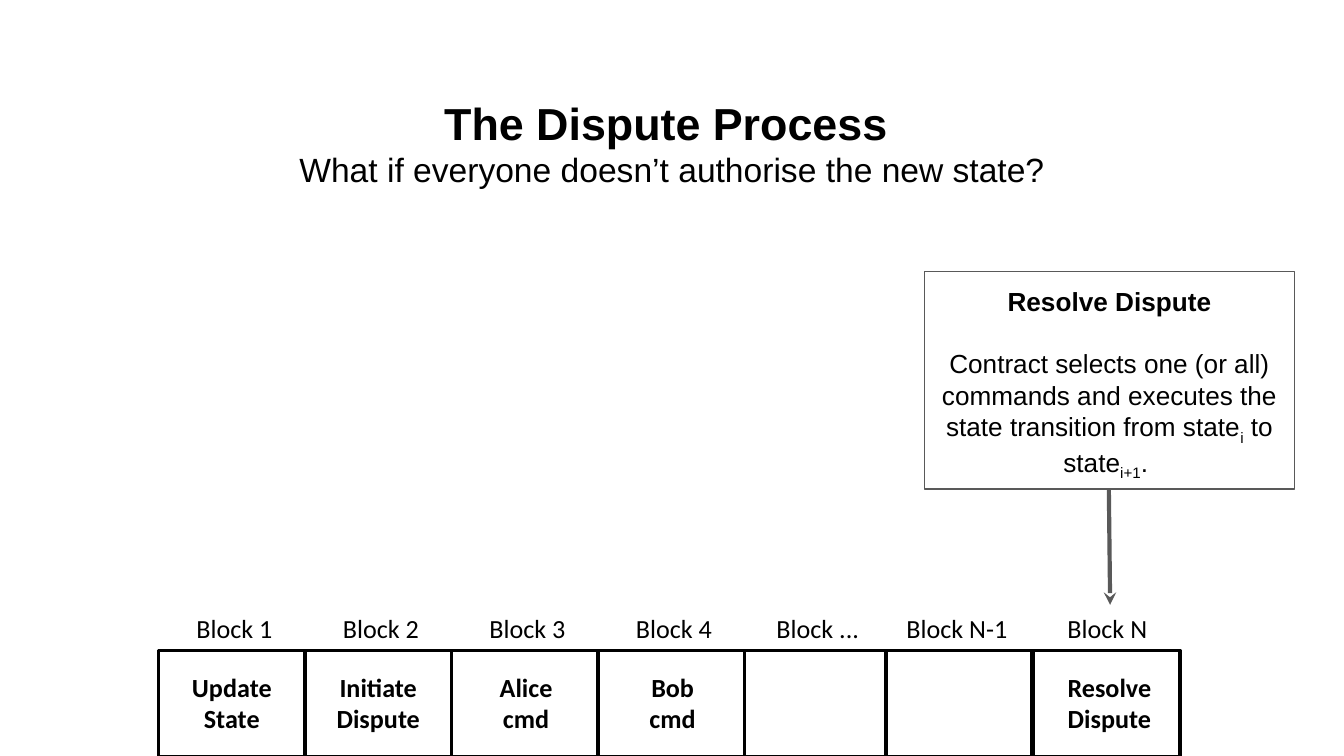
from dataclasses import dataclass
from typing import NamedTuple, Optional

from lxml.etree import SubElement
from pptx import Presentation
from pptx.dml.color import RGBColor
from pptx.enum.shapes import MSO_CONNECTOR, MSO_SHAPE
from pptx.enum.text import MSO_ANCHOR, MSO_AUTO_SIZE, PP_ALIGN
from pptx.oxml.ns import qn
from pptx.shapes.autoshape import Shape
from pptx.slide import Slide
from pptx.text.text import TextFrame
from pptx.util import Inches, Pt


@dataclass(frozen=True)
class Theme:
    ink: RGBColor = RGBColor(0x00, 0x00, 0x00)
    paper: RGBColor = RGBColor(0xFF, 0xFF, 0xFF)
    accent: RGBColor = RGBColor(0x59, 0x59, 0x59)
    heading_font: str = "Arial"
    block_font: str = "Calibri"
    title_size: float = 24
    subtitle_size: float = 18
    text_size: float = 14


class Block(NamedTuple):
    left: float
    label: str
    action: str = ""
    action_offset: float = 0.12
    label_offset: float = 0.13
    label_width: float = 0.87


class Span(NamedTuple):
    text: str
    subscript: bool = False


THEME = Theme()
BLOCK_TOP, BLOCK_WIDTH, BLOCK_HEIGHT = 4.84, 1.09, 0.79
BLOCKS = [
    Block(1.18, "Block 1", "Update State", 0.11),
    Block(2.27, "Block 2", "Initiate Dispute", 0.11),
    Block(3.36, "Block 3", "Alice cmd"),
    Block(5.52, "Block ..."),
    Block(6.59, "Block N-1", label_offset=0.05, label_width=0.96),
    Block(7.69, "Block N", "Resolve Dispute", 0.13, 0.07, 0.96),
    Block(4.45, "Block 4", "Bob cmd"),
]
RESOLUTION = [
    Span("Contract selects one (or all) commands and executes the state transition from state"),
    Span("i", subscript=True),
    Span(" to state"),
    Span("i+1", subscript=True),
    Span(". "),
]


def prepare_frame(frame: TextFrame, anchor: MSO_ANCHOR = MSO_ANCHOR.TOP, pad: float = 0.1) -> None:
    frame.word_wrap = True
    frame.auto_size = MSO_AUTO_SIZE.NONE
    frame.vertical_anchor = anchor
    frame.margin_left = frame.margin_right = Inches(0.1)
    frame.margin_top = frame.margin_bottom = Inches(pad)


def write(frame: TextFrame, text: str | list[Span], *, size: float = THEME.text_size,
          font: str = THEME.heading_font, bold: bool = False,
          new_paragraph: bool = False, space_before: Optional[float] = None) -> None:
    paragraph = frame.add_paragraph() if new_paragraph else frame.paragraphs[0]
    paragraph.alignment = PP_ALIGN.CENTER
    if space_before is not None:
        paragraph.space_before = Pt(space_before)
    for span in [Span(text)] if isinstance(text, str) else text:
        run = paragraph.add_run()
        run.text = span.text
        run.font.name = font
        run.font.size = Pt(size)
        run.font.bold = bold
        run.font.color.rgb = THEME.ink
        if span.subscript:
            run._r.get_or_add_rPr().set("baseline", "-25000")


def draw_box(slide: Slide, left: float, top: float, width: float, height: float,
             outline: RGBColor, weight: float) -> Shape:
    box = slide.shapes.add_shape(MSO_SHAPE.RECTANGLE, Inches(left), Inches(top),
                                 Inches(width), Inches(height))
    box.shadow.inherit = False
    box.fill.solid()
    box.fill.fore_color.rgb = THEME.paper
    box.line.color.rgb = outline
    box.line.width = Pt(weight)
    return box


def draw_caption(slide: Slide, text: str, left: float, top: float, width: float, height: float,
                 *, anchor: MSO_ANCHOR, pad: float, bold: bool) -> None:
    caption = slide.shapes.add_textbox(Inches(left), Inches(top), Inches(width), Inches(height))
    prepare_frame(caption.text_frame, anchor, pad)
    write(caption.text_frame, text, font=THEME.block_font, bold=bold)


def draw_block(slide: Slide, block: Block) -> None:
    draw_box(slide, block.left, BLOCK_TOP, BLOCK_WIDTH, BLOCK_HEIGHT, THEME.ink, 2)
    draw_caption(slide, block.label, block.left + block.label_offset, 4.51, block.label_width, 0.32,
                 anchor=MSO_ANCHOR.TOP, pad=0.05, bold=False)
    if block.action:
        draw_caption(slide, block.action, block.left + block.action_offset, 4.95, 0.87, 0.56,
                     anchor=MSO_ANCHOR.MIDDLE, pad=0.1, bold=True)


def draw_arrow(slide: Slide, start: tuple[float, float], end: tuple[float, float]) -> None:
    arrow = slide.shapes.add_connector(MSO_CONNECTOR.STRAIGHT, Inches(start[0]), Inches(start[1]),
                                       Inches(end[0]), Inches(end[1]))
    arrow.line.color.rgb = THEME.accent
    arrow.line.width = Pt(2.25)
    SubElement(arrow.line._get_or_add_ln(), qn("a:tailEnd"), type="stealth")
    SubElement(arrow._element.spPr, qn("a:effectLst"))


def draw_title(slide: Slide) -> None:
    title = slide.shapes.title
    title.left, title.top = Inches(0.34), Inches(0.6)
    title.width, title.height = Inches(9.32), Inches(0.92)
    prepare_frame(title.text_frame, MSO_ANCHOR.MIDDLE)
    write(title.text_frame, "The Dispute Process ", size=THEME.title_size, bold=True)
    write(title.text_frame, "What if everyone doesn’t authorise the new state?",
          size=THEME.subtitle_size, new_paragraph=True)


def draw_resolution(slide: Slide) -> None:
    callout = draw_box(slide, 6.88, 2.02, 2.75, 1.62, THEME.accent, 0.75)
    prepare_frame(callout.text_frame)
    write(callout.text_frame, "Resolve Dispute", bold=True)
    write(callout.text_frame, RESOLUTION, new_paragraph=True, space_before=16.9)


def main() -> None:
    presentation = Presentation()
    presentation.slide_width = Inches(10)
    presentation.slide_height = presentation.slide_width * 9 // 16
    slide = presentation.slides.add_slide(presentation.slide_layouts[5])
    draw_title(slide)
    for block in BLOCKS:
        draw_block(slide, block)
    draw_arrow(slide, (8.25, 3.61), (8.26, 4.5))
    draw_resolution(slide)
    presentation.save("out.pptx")


if __name__ == "__main__":
    main()
